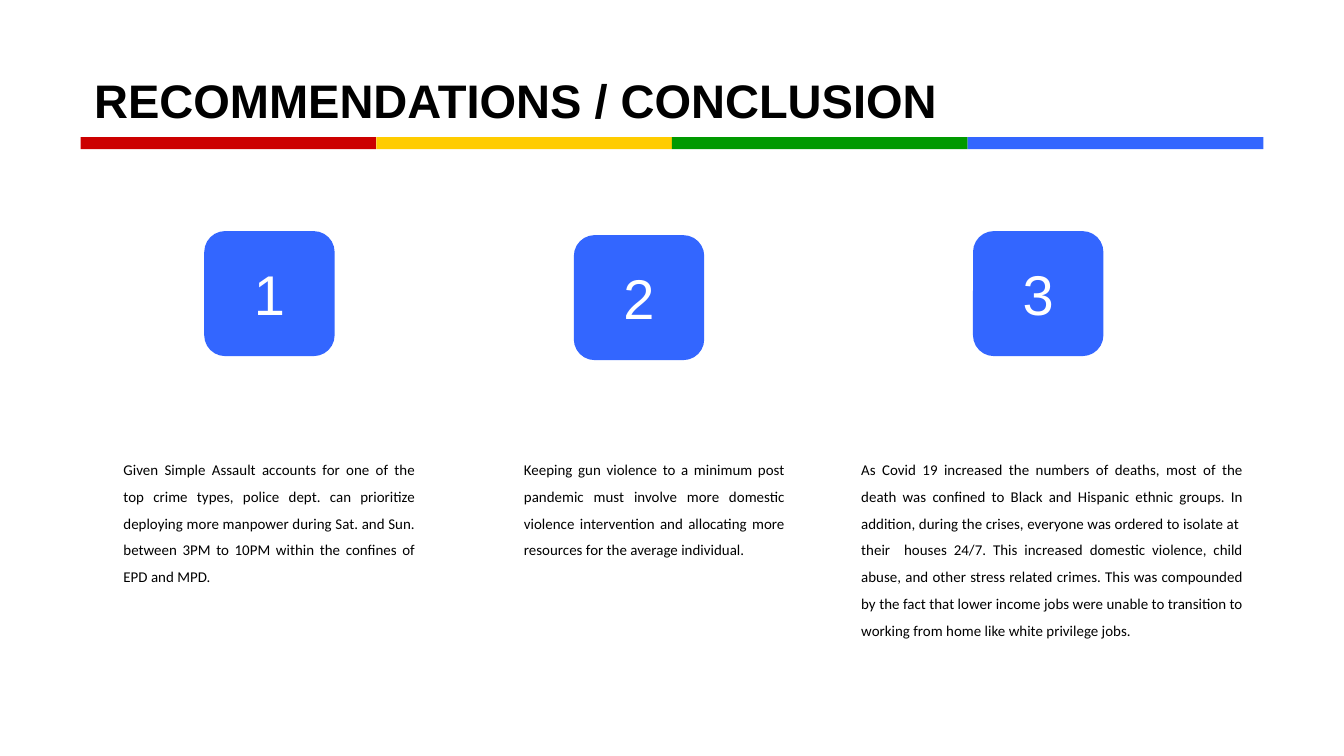
from dataclasses import dataclass

from pptx import Presentation
from pptx.dml.color import RGBColor
from pptx.enum import shapes, text
from pptx.util import Inches, Pt

BLACK = RGBColor(0x00, 0x00, 0x00)
WHITE = RGBColor(0xFF, 0xFF, 0xFF)
RED = RGBColor(0xCC, 0x00, 0x00)
GOLD = RGBColor(0xFF, 0xCC, 0x00)
GREEN = RGBColor(0x00, 0x99, 0x00)
BLUE = RGBColor(0x33, 0x66, 0xFF)
KIND = shapes.MSO_SHAPE
ALIGN = text.PP_ALIGN
ANCHOR = text.MSO_ANCHOR


@dataclass(frozen=True)
class Box:
    left: float
    top: float
    width: float
    height: float

    def sides(self) -> tuple:
        return tuple(Inches(v) for v in (self.left, self.top, self.width, self.height))


@dataclass(frozen=True)
class Item:
    tile: Box
    body: Box
    words: str


ITEMS = [
    Item(
        Box(1.52, 1.72, 0.97, 0.93),
        Box(0.82, 3.26, 2.37, 1.14),
        "Given Simple Assault accounts for one of the top crime types, police dept. "
        "can prioritize deploying more manpower during Sat. and Sun. between 3PM to "
        "10PM within the confines of EPD and MPD.",
    ),
    Item(
        Box(4.27, 1.75, 0.97, 0.93),
        Box(3.8, 3.26, 2.14, 1.14),
        "Keeping gun violence to a minimum post pandemic must involve more domestic "
        "violence intervention and allocating more resources for the average individual.",
    ),
    Item(
        Box(7.24, 1.72, 0.97, 0.93),
        Box(6.31, 3.26, 3.04, 1.69),
        "As Covid 19 increased the numbers of deaths, most of the death was confined to "
        "Black and Hispanic ethnic groups. In addition, during the crises, everyone was "
        "ordered to isolate at  their  houses 24/7. This increased domestic violence, "
        "child abuse, and other stress related crimes. This was compounded by the fact "
        "that lower income jobs were unable to transition to working from home like "
        "white privilege jobs.",
    ),
]


def write(shape, words: str, *, size: float, face: str = "Arial",
          color: RGBColor = BLACK, bold: bool = False, align=ALIGN.LEFT,
          anchor=ANCHOR.TOP, line: float = 1.0) -> None:
    frame = shape.text_frame
    frame.word_wrap = True
    frame.auto_size = text.MSO_AUTO_SIZE.NONE
    frame.vertical_anchor = anchor
    frame.margin_left = frame.margin_right = Inches(0.1)
    frame.margin_top = frame.margin_bottom = Inches(0.1)
    frame.text = words
    para = frame.paragraphs[0]
    para.alignment = align
    para.line_spacing = line
    para.space_before = Pt(0)
    font = para.runs[0].font
    font.name, font.size, font.bold = face, Pt(size), bold
    font.color.rgb = color


def block(slide, kind, box: Box, color: RGBColor) -> None:
    shape = slide.shapes.add_shape(kind, *box.sides())
    shape.shadow.inherit = False
    shape.fill.solid()
    shape.fill.fore_color.rgb = color
    shape.line.fill.background()


def draw(slide, num: int, item: Item) -> None:
    tile = item.tile
    block(slide, KIND.ROUNDED_RECTANGLE, tile, BLUE)
    label = Box(tile.left + 0.26, tile.top + 0.11, 0.45, 0.71)
    write(slide.shapes.add_textbox(*label.sides()), str(num),
          size=30, color=WHITE, align=ALIGN.CENTER)
    write(slide.shapes.add_textbox(*item.body.sides()), item.words,
          size=8, face="Calibri", align=ALIGN.JUSTIFY, line=1.5)


def main() -> None:
    deck = Presentation()
    deck.slide_width = Inches(10)
    deck.slide_height = Inches(10 * 9 / 16)
    slide = deck.slides.add_slide(deck.slide_layouts[5])
    title = slide.shapes.title
    title.left, title.top, title.width, title.height = Box(0.6, 0.43, 9.06, 0.63).sides()
    write(title, "RECOMMENDATIONS / CONCLUSION", size=25.2, bold=True,
          anchor=ANCHOR.MIDDLE)
    for col, color in enumerate((RED, GOLD, GREEN, BLUE)):
        block(slide, KIND.RECTANGLE, Box(0.6 + 2.2 * col, 1.02, 2.2, 0.09), color)
    for num, item in enumerate(ITEMS, 1):
        draw(slide, num, item)
    deck.save("out.pptx")


if __name__ == "__main__":
    main()
